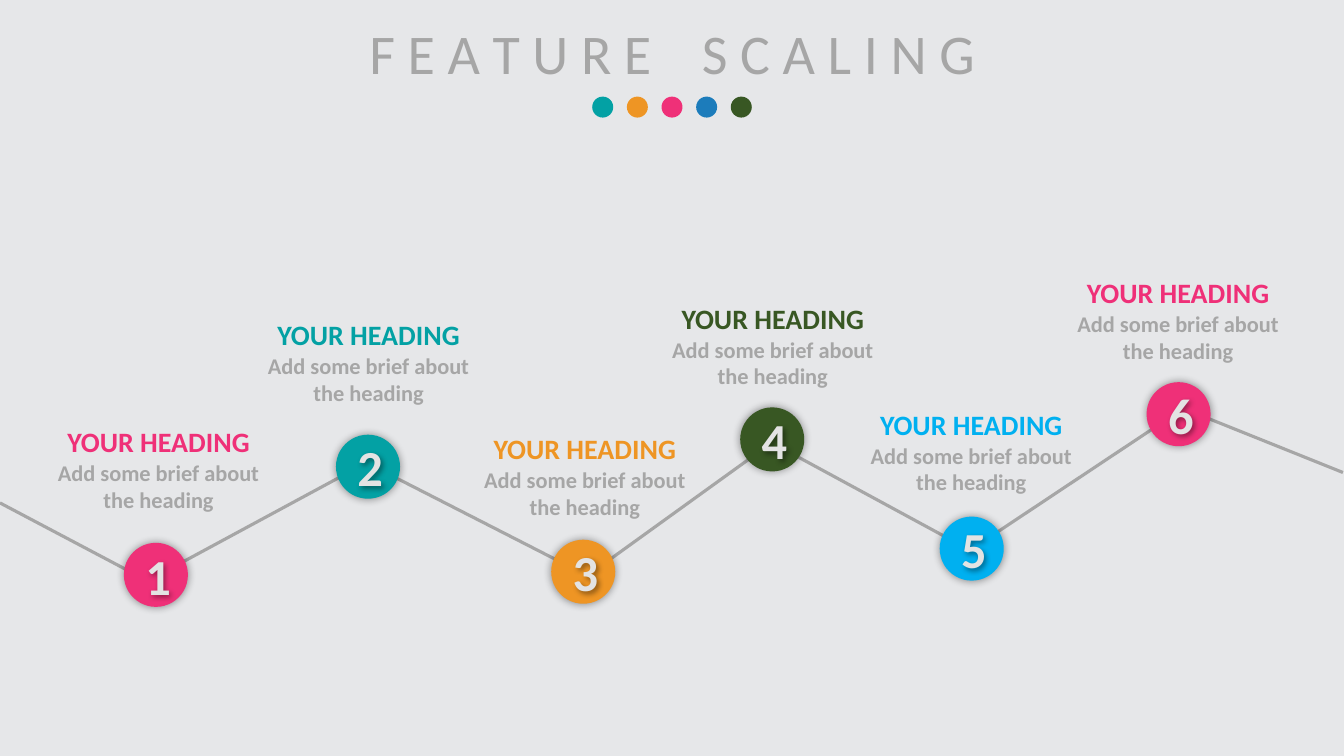
from lxml import etree
from pptx import Presentation
from pptx import util as u
from pptx.dml.color import RGBColor
from pptx.enum import shapes, text
from pptx.oxml import ns

EMU_PER_PX = 9525
FONT = "Calibri"

BACKDROP = RGBColor(0xE6, 0xE7, 0xE9)
GREY = RGBColor(0xA6, 0xA6, 0xA6)
PALE = RGBColor(0xE3, 0xE3, 0xE3)
BLACK = RGBColor(0x00, 0x00, 0x00)
TEAL = RGBColor(0x03, 0xA1, 0xA4)
ORANGE = RGBColor(0xEE, 0x95, 0x24)
PINK = RGBColor(0xEF, 0x30, 0x78)
BLUE = RGBColor(0x1C, 0x7C, 0xBB)
GREEN = RGBColor(0x38, 0x57, 0x23)
SKY = RGBColor(0x00, 0xB0, 0xF0)

DOT_COLOURS = [TEAL, ORANGE, PINK, BLUE, GREEN]
DOT_LEFT, DOT_TOP, DOT_SIZE, DOT_STEP = 564, 92, 20, 33
BADGE_SIZE = 61

PATH_LINES = [
    (1279, 450, 1142, 395),
    (142, 554, 0, 479),
    (564, 545, 729, 426),
    (922, 523, 732, 420),
    (939, 514, 1115, 397),
    (553, 545, 373, 453),
    (156, 545, 343, 444),
]

STEPS = [
    (PINK, (118, 517), (39, 400)),
    (TEAL, (320, 414), (239, 298)),
    (ORANGE, (525, 514), (445, 406)),
    (GREEN, (705, 388), (624, 282)),
    (SKY, (895, 492), (813, 383)),
    (PINK, (1092, 364), (1010, 258)),
]


def px(*lengths):
    return [u.Emu(length * EMU_PER_PX) for length in lengths]


def cast_shadow(element, blur, distance, alpha):
    element.shadow.inherit = False
    effects = element._element.spPr.find(ns.qn("a:effectLst"))
    outer = etree.SubElement(
        effects, ns.qn("a:outerShdw"),
        blurRad=str(u.Pt(blur)), dist=str(u.Pt(distance)),
        dir="2700000", algn="ctr", rotWithShape="0")
    colour = etree.SubElement(outer, ns.qn("a:srgbClr"), val=str(BLACK))
    etree.SubElement(colour, ns.qn("a:alpha"), val=str(alpha * 1000))


def format_paragraph(paragraph, size, colour, bold):
    paragraph.alignment = text.PP_ALIGN.CENTER
    paragraph.font.name = FONT
    paragraph.font.size = u.Pt(size)
    paragraph.font.bold = bold
    paragraph.font.color.rgb = colour


def add_title(slide):
    title = slide.shapes.title
    title.left, title.top, title.width, title.height = px(258, 13, 764, 74)
    frame = title.text_frame
    frame.word_wrap = True
    frame.auto_size = text.MSO_AUTO_SIZE.NONE
    frame.vertical_anchor = text.MSO_ANCHOR.TOP
    paragraph = frame.paragraphs[0]
    first_word, gap, second_word = (paragraph.add_run() for _ in range(3))
    first_word.text = "F E A T U R E"
    gap.text = " "
    second_word.text = "S C A L I N G"
    gap.font._element.set("spc", "2700")
    format_paragraph(paragraph, 40, GREY, False)


def add_circle(parent, left, top, size, colour):
    circle = parent.add_shape(
        shapes.MSO_SHAPE.OVAL, *px(left, top, size, size))
    circle.fill.solid()
    circle.fill.fore_color.rgb = colour
    circle.line.fill.background()
    circle.shadow.inherit = False
    return circle


def add_label(parent, box, words, size, colour):
    label = parent.add_textbox(*px(*box))
    frame = label.text_frame
    frame.word_wrap = True
    frame.auto_size = text.MSO_AUTO_SIZE.SHAPE_TO_FIT_TEXT
    paragraph = frame.paragraphs[0]
    paragraph.text = words
    format_paragraph(paragraph, size, colour, True)
    return label


def add_path_line(slide, ends):
    line = slide.shapes.add_connector(
        shapes.MSO_CONNECTOR.STRAIGHT, *px(*ends))
    line.line.color.rgb = GREY
    line.line.width = u.Pt(2.25)
    etree.SubElement(line._element.spPr, ns.qn("a:effectLst"))


def add_badge(slide, number, colour, left, top):
    circle = add_circle(slide.shapes, left, top, BADGE_SIZE, colour)
    cast_shadow(circle, 6, 0, 40)
    numeral = add_label(
        slide.shapes, (left + 11, top - 3, 40, 68), str(number), 36, PALE)
    cast_shadow(numeral, 4, 2, 40)


def add_caption(slide, colour, left, top):
    caption = slide.shapes.add_group_shape().shapes
    add_label(caption, (left, top, 224, 42), "YOUR HEADING", 20, colour)
    add_label(caption, (left, top + 33, 224, 61),
              "Add some brief about the heading", 16, GREY)


def main():
    deck = Presentation()
    deck.slide_width, deck.slide_height = px(1280, 720)
    slide = deck.slides.add_slide(deck.slide_layouts[5])
    slide.background.fill.solid()
    slide.background.fill.fore_color.rgb = BACKDROP

    for ends in PATH_LINES:
        add_path_line(slide, ends)

    add_title(slide)
    dots = slide.shapes.add_group_shape().shapes
    for index, colour in enumerate(DOT_COLOURS):
        add_circle(dots, DOT_LEFT + index * DOT_STEP, DOT_TOP,
                   DOT_SIZE, colour)

    for number, (colour, badge, caption) in enumerate(STEPS, start=1):
        add_badge(slide, number, colour, *badge)
        add_caption(slide, colour, *caption)

    deck.save("out.pptx")


if __name__ == "__main__":
    main()
